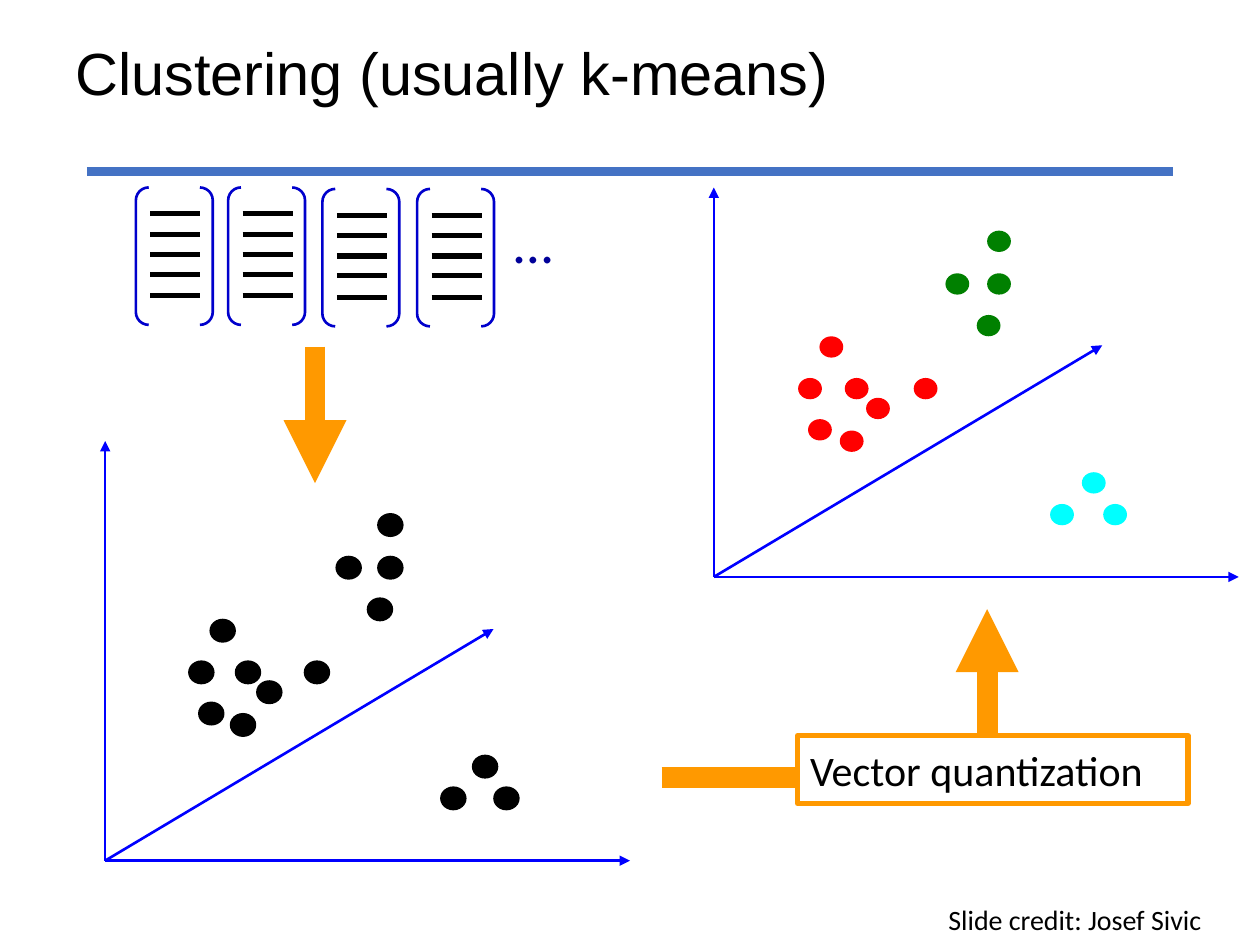
from dataclasses import dataclass

from lxml.etree import SubElement
from pptx import Presentation
from pptx.dml.color import RGBColor
from pptx.enum.shapes import MSO_CONNECTOR, MSO_SHAPE
from pptx.enum.text import MSO_ANCHOR, MSO_AUTO_SIZE, PP_ALIGN
from pptx.oxml.ns import qn
from pptx.shapes.autoshape import Shape
from pptx.util import Cm, Pt

BLACK = RGBColor(0x00, 0x00, 0x00)
WHITE = RGBColor(0xFF, 0xFF, 0xFF)
RULE_BLUE = RGBColor(0x44, 0x72, 0xC4)
BRACKET_BLUE = RGBColor(0x00, 0x00, 0xCC)
ELLIPSIS_BLUE = RGBColor(0x00, 0x00, 0x99)
AXIS_BLUE = RGBColor(0x00, 0x00, 0xFF)
ORANGE = RGBColor(0xFF, 0x99, 0x00)
RED = RGBColor(0xFF, 0x00, 0x00)
GREEN = RGBColor(0x00, 0x80, 0x00)
CYAN = RGBColor(0x00, 0xFF, 0xFF)

Point = tuple[float, float]


@dataclass(frozen=True)
class Cluster:
    color: RGBColor
    dots: tuple[Point, ...]  # top left corners, in cm from the plot's origin


@dataclass(frozen=True)
class Plot:
    origin: Point
    height: float
    clustered: bool


@dataclass(frozen=True)
class Label:
    text: str
    box: tuple[float, float, float, float]
    size: int
    color: RGBColor


CLUSTERS = (
    Cluster(RED, ((2.64, -4.01), (3.07, -3.61), (1.7, -4.01), (2.54, -2.95),
                  (1.9, -3.18), (4.03, -4.01), (2.13, -4.85))),
    Cluster(GREEN, ((5.51, -6.98), (5.3, -5.28), (4.67, -6.12), (5.51, -6.12))),
    Cluster(CYAN, ((7.85, -1.47), (7.42, -2.11), (6.78, -1.47))),
)
PLOTS = (
    Plot((2.12, 17.35), 8.46, clustered=False),
    Plot((14.39, 11.63), 7.85, clustered=True),
)
VECTORS: tuple[Point, ...] = ((2.74, 3.78), (4.6, 3.78), (6.5, 3.81), (8.41, 3.81))
ENTRY_OFFSETS = (0.53, 0.94, 1.35, 1.75, 2.18)
LABELS = (
    Label("…", (10.11, 4.06, 1.65, 1.6), 32, ELLIPSIS_BLUE),
    Label("Slide credit: Josef Sivic", (18.87, 18.06, 6.3, 0.94), 16, BLACK),
)


def add_line(shapes, start: Point, end: Point, color: RGBColor,
             width: float, arrow: bool = False) -> None:
    connector = shapes.add_connector(
        MSO_CONNECTOR.STRAIGHT, *(Cm(value) for value in (*start, *end)))
    connector.line.color.rgb = color
    connector.line.width = Pt(width)
    if arrow:
        SubElement(connector.line._get_or_add_ln(), qn("a:tailEnd"), type="triangle")
    SubElement(connector._element.spPr, qn("a:effectLst"))


def add_plain_shape(shapes, kind: MSO_SHAPE, left: float, top: float,
                    width: float, height: float, fill: RGBColor | None,
                    line: RGBColor | None, line_width: float = 1.5) -> Shape:
    shape = shapes.add_shape(kind, Cm(left), Cm(top), Cm(width), Cm(height))
    shape.shadow.inherit = False
    if fill is None:
        shape.fill.background()
    else:
        shape.fill.solid()
        shape.fill.fore_color.rgb = fill
    if line is None:
        shape.line.fill.background()
    else:
        shape.line.color.rgb = line
        shape.line.width = Pt(line_width)
    return shape


def write_text(shape: Shape, text: str, size: int, color: RGBColor,
               font: str = "Calibri") -> None:
    frame = shape.text_frame
    frame.text = text
    frame.word_wrap = True
    frame.auto_size = MSO_AUTO_SIZE.NONE
    paragraph = frame.paragraphs[0]
    paragraph.alignment = PP_ALIGN.LEFT
    paragraph.font.name = font
    paragraph.font.size = Pt(size)
    paragraph.font.color.rgb = color


def add_vector(slide, left: float, top: float) -> None:
    """Draw a bracketed column of entries as one group."""
    shapes = slide.shapes.add_group_shape().shapes
    bracket = add_plain_shape(shapes, MSO_SHAPE.DOUBLE_BRACKET, left, top,
                              1.55, 2.77, None, BRACKET_BLUE)
    bracket.adjustments[0] = 0.167
    for offset in ENTRY_OFFSETS:
        y = top + offset
        add_line(shapes, (left + 0.29, y), (left + 1.3, y), BLACK, 3)


def add_plot(slide, plot: Plot) -> None:
    x, y = plot.origin
    for end in ((x, y - plot.height), (x + 10.58, y), (x + 7.83, y - 4.67)):
        add_line(slide.shapes, plot.origin, end, AXIS_BLUE, 1.5, arrow=True)
    for cluster in CLUSTERS:
        fill = cluster.color if plot.clustered else BLACK
        outline = None if plot.clustered else BLACK
        for dx, dy in cluster.dots:
            add_plain_shape(slide.shapes, MSO_SHAPE.OVAL, x + dx, y + dy,
                            0.48, 0.43, fill, outline)


def add_title(slide) -> None:
    title = slide.shapes.title
    title.left, title.top, title.width, title.height = (
        Cm(1.27), Cm(0.76), Cm(22.86), Cm(1.57))
    write_text(title, "Clustering (usually k-means)", 34, BLACK, "Arial")
    title.text_frame.vertical_anchor = MSO_ANCHOR.MIDDLE
    title.text_frame.paragraphs[0].line_spacing = 0.9


def add_quantization(slide) -> None:
    add_line(slide.shapes, (13.34, 15.67), (19.05, 15.67), ORANGE, 12)
    add_line(slide.shapes, (19.9, 15.67), (19.9, 12.28), ORANGE, 12, arrow=True)
    box = add_plain_shape(slide.shapes, MSO_SHAPE.RECTANGLE, 16.08, 14.83,
                          7.87, 1.37, WHITE, ORANGE, 3)
    write_text(box, "Vector quantization", 24, BLACK)


def main() -> None:
    presentation = Presentation()
    presentation.slide_width = Cm(25.4)
    presentation.slide_height = Cm(19.05)
    slide = presentation.slides.add_slide(presentation.slide_layouts[5])

    add_line(slide.shapes, (1.75, 3.45), (23.65, 3.45), RULE_BLUE, 5)
    add_title(slide)
    for left, top in VECTORS:
        add_vector(slide, left, top)
    for plot in PLOTS:
        add_plot(slide, plot)
    add_line(slide.shapes, (6.35, 6.99), (6.35, 9.74), ORANGE, 12, arrow=True)
    add_quantization(slide)
    for label in LABELS:
        text_box = slide.shapes.add_textbox(*(Cm(value) for value in label.box))
        write_text(text_box, label.text, label.size, label.color)

    presentation.save("out.pptx")


if __name__ == "__main__":
    main()
